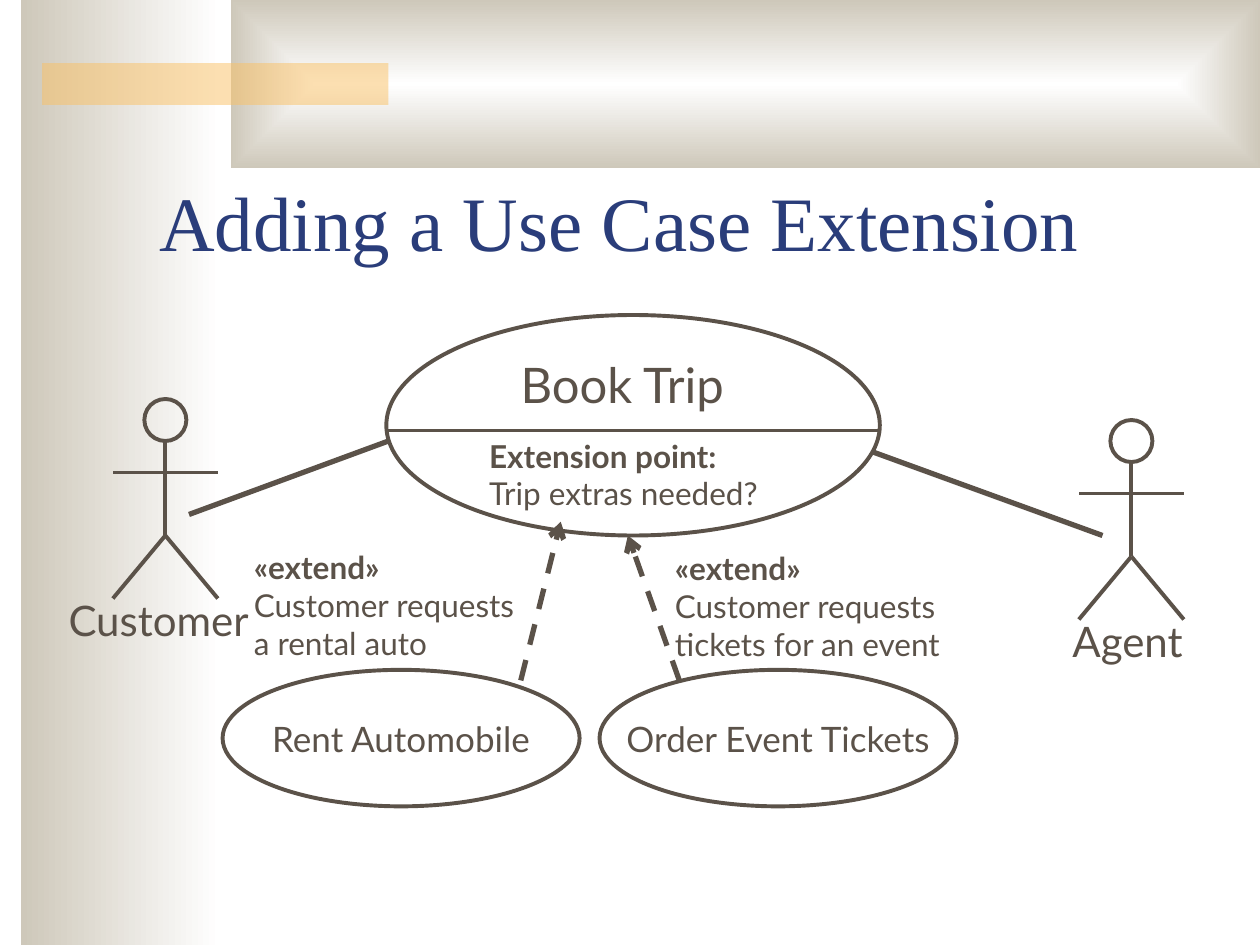
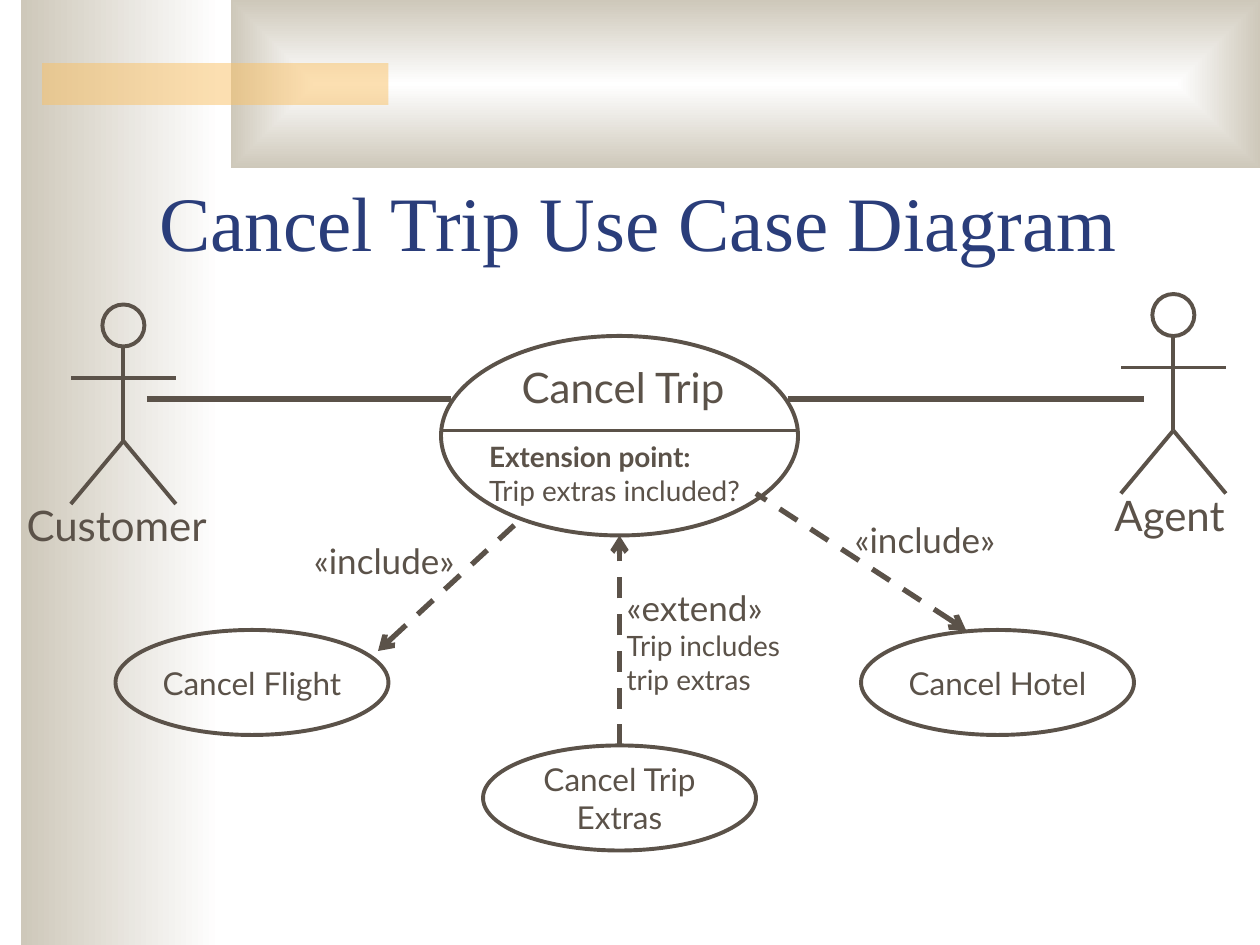
"""Builds two use case diagram slides on a grid of 120 columns and 90 rows."""
from dataclasses import dataclass

from lxml import etree
from pptx import Presentation, util as u
from pptx.dml.color import RGBColor
from pptx.enum import dml, shapes as kinds, text as t
from pptx.oxml.ns import qn


@dataclass(frozen=True)
class Theme:
    ink: RGBColor = RGBColor.from_string("5B5249")
    title: RGBColor = RGBColor.from_string("2A3D7A")
    paper: RGBColor = RGBColor.from_string("FFFFFF")
    sand: RGBColor = RGBColor.from_string("CEC8BA")
    amber: RGBColor = RGBColor.from_string("FAC164")
    body_font: str = "Lato"
    title_font: str = "Times New Roman"
    title_size: int = 44
    heading: int = 28
    name: int = 24
    label: int = 20
    note: int = 18
    small: int = 16
    outline: float = 2.25
    link: float = 3


theme = Theme()
deck = Presentation()
deck.slide_width, deck.slide_height = u.Inches(10), u.Inches(7.5)
cell = deck.slide_width / 120
oval, rect = kinds.MSO_SHAPE.OVAL, kinds.MSO_SHAPE.RECTANGLE


def add_box(canvas, kind, area, lines=(), font=theme.body_font, color=theme.ink, **frame_format):
    """Place a preset shape, or a text box when kind is None, with (text, size, bold) lines."""
    spot = [round(cell * side) for side in area]
    if kind is None:
        box = canvas.add_textbox(*spot)
        settings = {"word_wrap": False, "auto_size": t.MSO_AUTO_SIZE.SHAPE_TO_FIT_TEXT}
    else:
        box = canvas.add_shape(kind, *spot)
        box.shadow.inherit = False
        box.fill.background()
        box.line.color.rgb, box.line.width = theme.ink, u.Pt(theme.outline)
        settings = {"word_wrap": False, "vertical_anchor": t.MSO_ANCHOR.MIDDLE}
    for key, value in (settings | frame_format).items():
        setattr(box.text_frame, key, value)
    for index, (words, size, bold) in enumerate(lines):
        para = box.text_frame.add_paragraph() if index else box.text_frame.paragraphs[0]
        para.alignment = t.PP_ALIGN.CENTER if kind else t.PP_ALIGN.LEFT
        span = para.add_run()
        span.text = words
        for key, value in {"name": font, "size": u.Pt(size), "bold": bold}.items():
            setattr(span.font, key, value)
        span.font.color.rgb = color
    return box


def add_line(canvas, start, end, width=theme.outline, arrow=None):
    """Draw a solid line, or a dashed one when arrow names the end that carries a head."""
    points = [round(cell * part) for part in (*start, *end)]
    line = canvas.add_connector(kinds.MSO_CONNECTOR.STRAIGHT, *points)
    line.line.color.rgb, line.line.width = theme.ink, u.Pt(width)
    if arrow:
        line.line.dash_style = dml.MSO_LINE.DASH
        etree.SubElement(line.line._get_or_add_ln(), qn(f"a:{arrow}End"), type="arrow")
    etree.SubElement(line.element.spPr, qn("a:effectLst"))


diagrams = [
    {
        "title": "Adding a Use Case Extension",
        "actors": [("Customer", 15.75, 38, 20.8), ("Agent", 107.75, 40, 13.6)],
        "main": (36.8, 30, 47, 21),
        "cases": [
            ((21.2, 63.8, 34, 13), [("Rent Automobile", theme.label, False)]),
            ((57.1, 63.8, 34, 13), [("Order Event Tickets", theme.label, False)]),
        ],
        "notes": [
            ((48.4, 33.2, 23.3, 6.8), [("Book Trip", theme.heading, False)]),
            ((45.4, 41, 30.1, 8.4), [("Extension point:", theme.note, True),
                                     ("Trip extras needed?", theme.note, False)]),
            ((23, 51.6, 29.3, 12), [("«extend»", theme.note, True),
                                    ("Customer requests", theme.note, False),
                                    ("a rental auto", theme.note, False)]),
            ((63.1, 51.7, 29.3, 12), [("«extend»", theme.note, True),
                                      ("Customer requests", theme.note, False),
                                      ("tickets for an event", theme.note, False)]),
        ],
        "links": [
            ((18, 49), (37, 42), None),
            ((83, 43), (105, 51), None),
            ((49.6, 64.8), (53.4, 49.7), "tail"),
            ((64.7, 64.8), (59.8, 51), "tail"),
        ],
    },
    {
        "title": "Cancel Trip Use Case Diagram",
        "actors": [("Customer", 11.75, 29, 20.8), ("Agent", 111.75, 28, 13.6)],
        "main": (42, 32, 34, 19),
        "cases": [
            ((46, 71, 26, 10), [("Cancel Trip", theme.note, False), ("Extras", theme.note, False)]),
            ((82, 60, 26, 10), [("Cancel Hotel", theme.note, False)]),
            ((11, 60, 26, 10), [("Cancel Flight", theme.note, False)]),
        ],
        "notes": [
            ((48.5, 33.8, 23.3, 6), [("Cancel Trip", theme.name, False)]),
            ((45.4, 41.3, 28.2, 7.7), [("Extension point:", theme.small, True),
                                       ("Trip extras included?", theme.small, False)]),
            ((58.5, 55.3, 18.4, 11.6), [("«extend»", theme.label, False),
                                        ("Trip includes", theme.small, False),
                                        ("trip extras", theme.small, False)]),
            ((80.2, 48.8, 17.2, 5.3), [("«include»", theme.label, False)]),
            ((28.7, 50.8, 17.2, 5.3), [("«include»", theme.label, False)]),
        ],
        "links": [
            ((14, 38), (43, 38), None),
            ((75, 38), (109, 38), None),
            ((59, 71), (59, 51), "tail"),
            ((92, 60), (72, 47), "head"),
            ((36, 62), (49, 50), "head"),
        ],
    },
]

divider_row = 41
bands = [(2, 0, 19, 90), (22, 0, 98, 16)]

for diagram in diagrams:
    page = deck.slides.add_slide(deck.slide_layouts[6])
    canvas = page.shapes

    for area in bands:
        band = add_box(canvas, rect, area)
        band.line.fill.background()
        band.fill.gradient()
        band.fill.gradient_angle = 180
        for stop, color in zip(band.fill.gradient_stops, (theme.paper, theme.sand)):
            stop.color.rgb = color
    gradient = band.element.spPr.find(qn("a:gradFill"))
    gradient.remove(gradient.find(qn("a:lin")))
    rings = etree.SubElement(gradient, qn("a:path"), {"path": "rect"})
    etree.SubElement(rings, qn("a:fillToRect"), dict.fromkeys("ltrb", "50000"))

    accent = add_box(canvas, rect, (4, 6, 33, 4))
    accent.line.fill.background()
    accent.fill.solid()
    accent.fill.fore_color.rgb = theme.amber
    tint = accent.element.spPr.find(qn("a:solidFill")).find(qn("a:srgbClr"))
    etree.SubElement(tint, qn("a:alpha"), val="50000")

    add_box(canvas, None, (14, 11, 102, 15), [(diagram["title"], theme.title_size, False)],
            theme.title_font, theme.title, word_wrap=True,
            auto_size=t.MSO_AUTO_SIZE.NONE, vertical_anchor=t.MSO_ANCHOR.BOTTOM)

    for name, middle, top, width in diagram["actors"]:
        actor = canvas.add_group_shape().shapes
        hip = (middle, top + 13)
        add_line(actor, (middle, top + 4), hip)
        for side in (5, -5):
            add_line(actor, (middle + side, top + 19), hip)
        add_box(actor, oval, (middle - 2, top, 4, 4))
        add_line(actor, (middle + 5, top + 7), (middle - 5, top + 7))
        add_box(actor, None, (middle - width / 2, top + 18, width, 6), [(name, theme.name, False)])

    left, _, width, _ = diagram["main"]
    add_box(canvas, oval, diagram["main"])
    add_line(canvas, (left, divider_row), (left + width, divider_row))
    for area, lines in diagram["cases"]:
        add_box(canvas, oval, area, lines)
    for start, end, arrow in diagram["links"]:
        add_line(canvas, start, end, theme.link, arrow)
    for area, lines in diagram["notes"]:
        add_box(canvas, None, area, lines)

deck.save("out.pptx")
